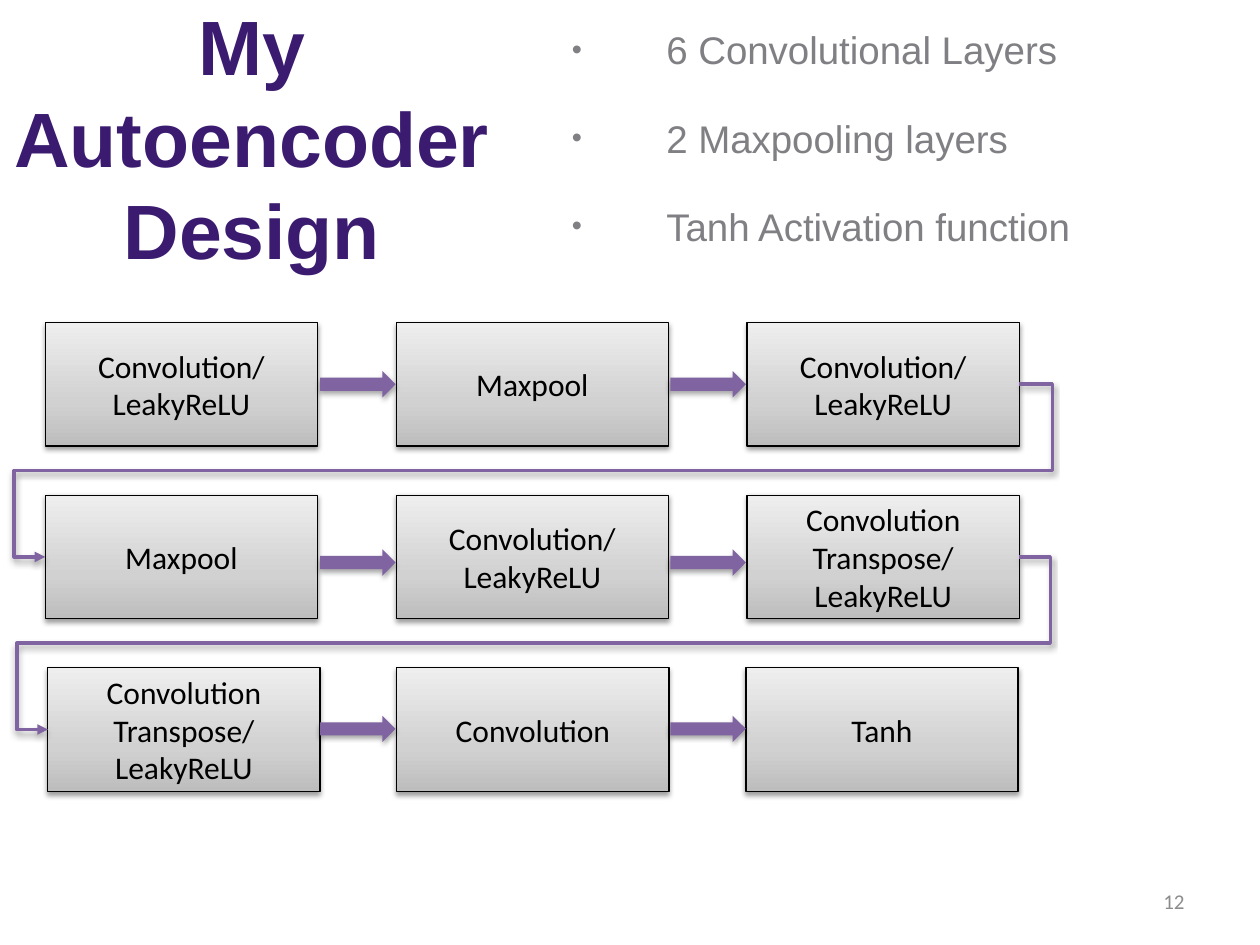
from dataclasses import dataclass

from lxml import etree
from pptx import Presentation
from pptx.dml.color import RGBColor
from pptx.enum.shapes import MSO_CONNECTOR, MSO_SHAPE
from pptx.enum.text import MSO_ANCHOR, MSO_AUTO_SIZE, PP_ALIGN
from pptx.oxml import parse_xml
from pptx.oxml.ns import qn
from pptx.util import Inches, Pt

RECTANGLE, RIGHT_ARROW = MSO_SHAPE.RECTANGLE, MSO_SHAPE.RIGHT_ARROW
ELBOW = MSO_CONNECTOR.ELBOW
TOP, MIDDLE = MSO_ANCHOR.TOP, MSO_ANCHOR.MIDDLE
LEFT, CENTER, RIGHT = PP_ALIGN.LEFT, PP_ALIGN.CENTER, PP_ALIGN.RIGHT
GROW = MSO_AUTO_SIZE.SHAPE_TO_FIT_TEXT
RIGHT_SIDE, LEFT_SIDE = 3, 1

DRAWING = 'xmlns:a="http://schemas.openxmlformats.org/drawingml/2006/main"'
PURPLE, TITLE_COLOR, BODY_COLOR = "8064A2", "3B1B70", "807F83"
BLACK, NUMBER_COLOR = "000000", "8C8C8C"
BOX_STOPS = ((0, "BDBDBD"), (35, "D1D1D1"), (100, "EEEEEE"))

# Grid of the layer diagram, in inches
BOX_WIDTH, BOX_HEIGHT = 2.16, 0.98
FIRST_TOP, ROW_STEP = 2.56, 1.37
ARROW_LEFT, ARROW_STEP = 2.54, 2.78
ARROW_WIDTH, ARROW_HEIGHT = 0.6, 0.21

CONVOLUTION = ("Convolution/", "LeakyReLU")
TRANSPOSE = ("Convolution Transpose/", "LeakyReLU")
MAXPOOL = ("Maxpool",)


@dataclass(frozen=True)
class LayerRow:
    layers: tuple
    left: float
    column_step: float
    arrow_top: float


@dataclass(frozen=True)
class ReturnPath:
    from_row: int
    adjustments: tuple


LAYER_ROWS = (
    LayerRow((CONVOLUTION, MAXPOOL, CONVOLUTION), 0.36, 2.785, 2.945),
    LayerRow((MAXPOOL, CONVOLUTION, TRANSPOSE), 0.36, 2.785, 4.36),
    LayerRow((TRANSPOSE, ("Convolution",), ("Tanh",)), 0.38, 2.77, 5.68),
)
RETURN_PATHS = (
    ReturnPath(0, (-3400, 50000, 103200)),
    ReturnPath(1, (-3200, 50000, 103200)),
)


def color(value: str) -> RGBColor:
    return RGBColor.from_string(value)


def write_text(shape, lines, *, size, font, text_color, bold=False,
               align=LEFT, anchor=TOP, space_after=0):
    """Fill a shape with one paragraph for each line."""
    frame = shape.text_frame
    frame.word_wrap = True
    frame.vertical_anchor = anchor
    for index, line in enumerate(lines):
        paragraph = frame.add_paragraph() if index else frame.paragraphs[0]
        paragraph.alignment = align
        paragraph.space_after = Pt(space_after)
        run = paragraph.add_run()
        run.text = line
        run.font.size, run.font.name, run.font.bold = Pt(size), font, bold
        run.font.color.rgb = color(text_color)
    return frame


def add_text_box(slide, left, top, width, height, lines, **text_format):
    box = slide.shapes.add_textbox(*map(Inches, (left, top, width, height)))
    return write_text(box, lines, **text_format)


def set_bullets(frame, indent: float):
    for paragraph in frame.paragraphs:
        properties = paragraph._p.get_or_add_pPr()
        properties.set("marL", str(Inches(indent)))
        properties.set("indent", str(-Inches(indent)))
        etree.SubElement(properties, qn("a:buSzPct"), val="75000")
        etree.SubElement(properties, qn("a:buFont"), typeface="Arial")
        etree.SubElement(properties, qn("a:buChar"), char="•")


def add_shadow(properties, opacity: int, distance: float):
    """Put a soft downward shadow on a shape or connector."""
    effects = properties.find(qn("a:effectLst"))
    if effects is None:
        effects = etree.SubElement(properties, qn("a:effectLst"))
    effects.append(parse_xml(
        f'<a:outerShdw {DRAWING} blurRad="{Pt(3.1)}" dist="{Pt(distance)}" '
        f'dir="5400000" rotWithShape="0"><a:srgbClr val="{BLACK}">'
        f'<a:alpha val="{opacity * 1000}"/></a:srgbClr></a:outerShdw>'))


def add_preset(slide, preset, left, top, width, height):
    shape = slide.shapes.add_shape(
        preset, *map(Inches, (left, top, width, height)))
    shape.shadow.inherit = False
    return shape


def add_layer(slide, left: float, top: float, lines: tuple):
    box = add_preset(slide, RECTANGLE, left, top, BOX_WIDTH, BOX_HEIGHT)
    stops = "".join(
        f'<a:gs pos="{place * 1000}"><a:srgbClr val="{value}"/></a:gs>'
        for place, value in BOX_STOPS)
    box._element.spPr.find(qn("a:prstGeom")).addnext(parse_xml(
        f'<a:gradFill {DRAWING} rotWithShape="1"><a:gsLst>{stops}</a:gsLst>'
        '<a:lin ang="16200000" scaled="0"/></a:gradFill>'))
    box.line.color.rgb = color(BLACK)
    box.line.width = Pt(0.75)
    add_shadow(box._element.spPr, 38, 1.6)
    write_text(box, lines, size=18, font="Calibri", text_color=BLACK,
               align=CENTER, anchor=MIDDLE)
    return box


def add_arrow(slide, left: float, top: float):
    arrow = add_preset(slide, RIGHT_ARROW, left, top,
                       ARROW_WIDTH, ARROW_HEIGHT)
    arrow.fill.solid()
    arrow.fill.fore_color.rgb = color(PURPLE)
    arrow.line.fill.background()
    add_shadow(arrow._element.spPr, 35, 1.8)


def add_return_path(slide, start, end, adjustments: tuple):
    """Lead from the end of one row round to the start of the next."""
    connector = slide.shapes.add_connector(ELBOW, 0, 0, 0, 0)
    connector.begin_connect(start, RIGHT_SIDE)
    connector.end_connect(end, LEFT_SIDE)
    # Set the ends again so that the flip and size follow the joined sides
    connector.begin_x = start.left + start.width
    connector.begin_y = start.top + start.height // 2
    connector.end_x, connector.end_y = end.left, end.top + end.height // 2
    connector.line.color.rgb = color(PURPLE)
    connector.line.width = Pt(2)
    properties = connector._element.spPr
    geometry = properties.find(qn("a:prstGeom"))
    geometry.set("prst", "bentConnector5")
    guides = geometry.find(qn("a:avLst"))
    if guides is None:
        guides = etree.SubElement(geometry, qn("a:avLst"))
    for number, value in enumerate(adjustments, 1):
        etree.SubElement(guides, qn("a:gd"), name=f"adj{number}",
                         fmla=f"val {value}")
    etree.SubElement(properties.find(qn("a:ln")), qn("a:tailEnd"),
                     type="triangle")
    add_shadow(properties, 38, 1.6)


def main():
    presentation = Presentation()
    presentation.slide_width = Inches(10)
    presentation.slide_height = Inches(7.5)
    slide = presentation.slides.add_slide(presentation.slide_layouts[6])

    # Title and summary
    add_text_box(slide, 0, 0.28, 4, 1.61, ["My Autoencoder Design"], size=44,
                 font="Arial", text_color=TITLE_COLOR, bold=True,
                 align=CENTER, anchor=MIDDLE)
    summary = add_text_box(
        slide, 4.44, 0.16, 5.13, 1.88,
        ["6 Convolutional Layers", "2 Maxpooling layers",
         "Tanh Activation function"],
        size=22, font="Arial", text_color=BODY_COLOR, space_after=24)
    summary.auto_size = GROW
    set_bullets(summary, 0.75)

    # Layers, row by row
    boxes = [
        [add_layer(slide, row.left + column * row.column_step,
                   FIRST_TOP + index * ROW_STEP, lines)
         for column, lines in enumerate(row.layers)]
        for index, row in enumerate(LAYER_ROWS)]

    # Arrows within rows, then paths between rows
    for row in LAYER_ROWS:
        for gap in range(len(row.layers) - 1):
            add_arrow(slide, ARROW_LEFT + gap * ARROW_STEP, row.arrow_top)
    for route in RETURN_PATHS:
        add_return_path(slide, boxes[route.from_row][-1],
                        boxes[route.from_row + 1][0], route.adjustments)

    # Slide number
    add_text_box(slide, 7.17, 6.95, 2.33, 0.4, ["12"], size=12,
                 font="Calibri", text_color=NUMBER_COLOR, align=RIGHT,
                 anchor=MIDDLE)
    presentation.save("out.pptx")


if __name__ == "__main__":
    main()
